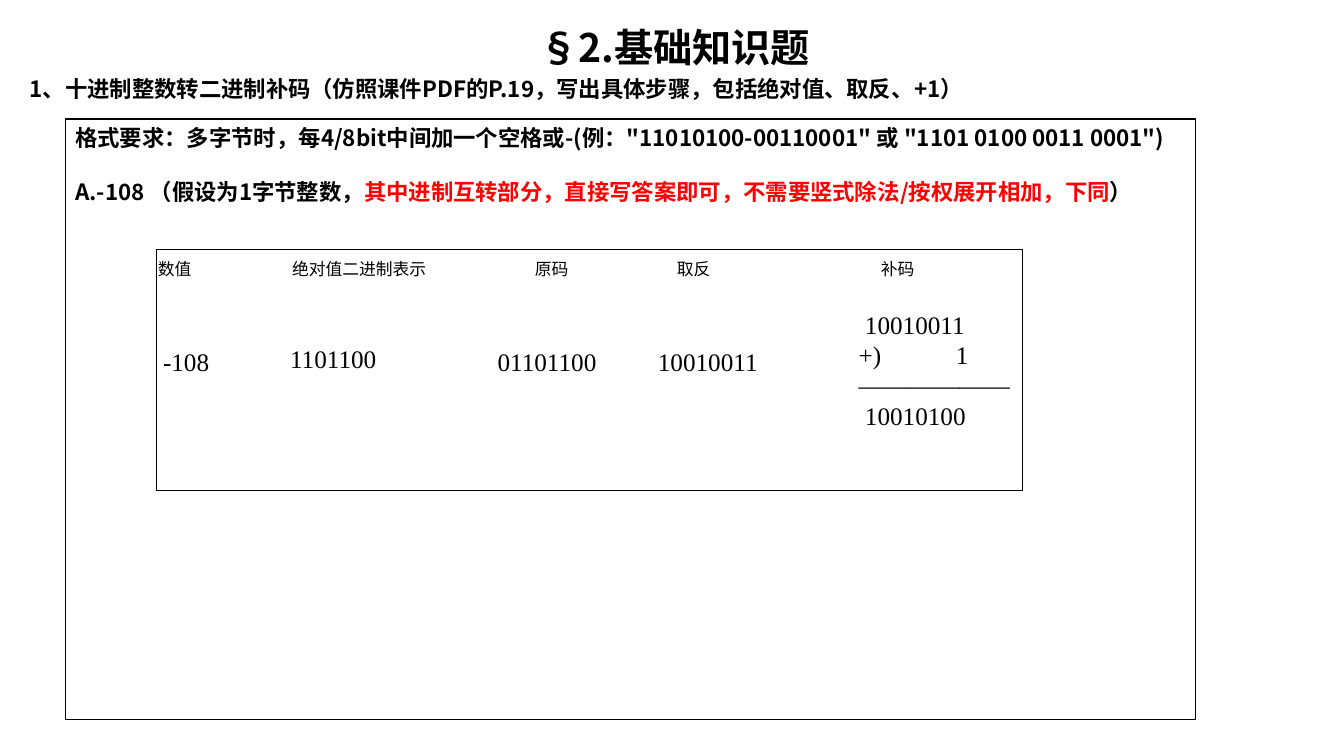
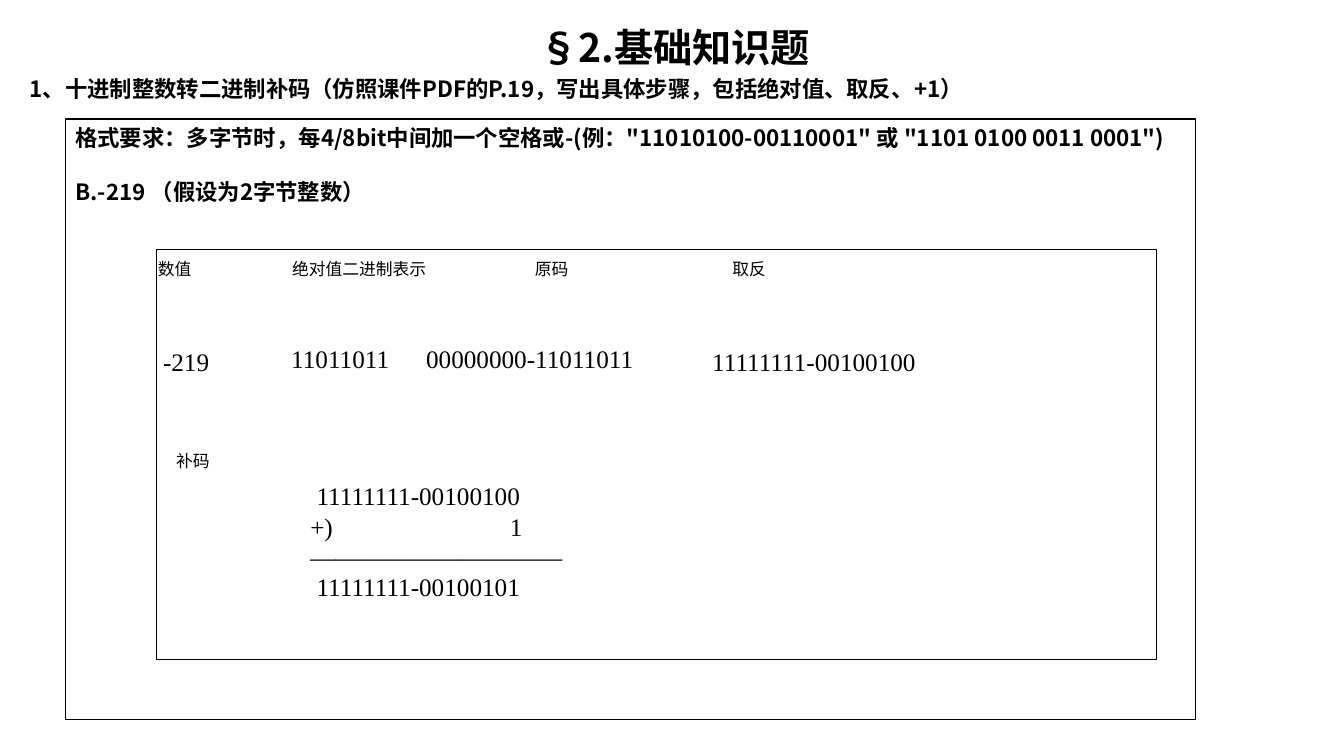
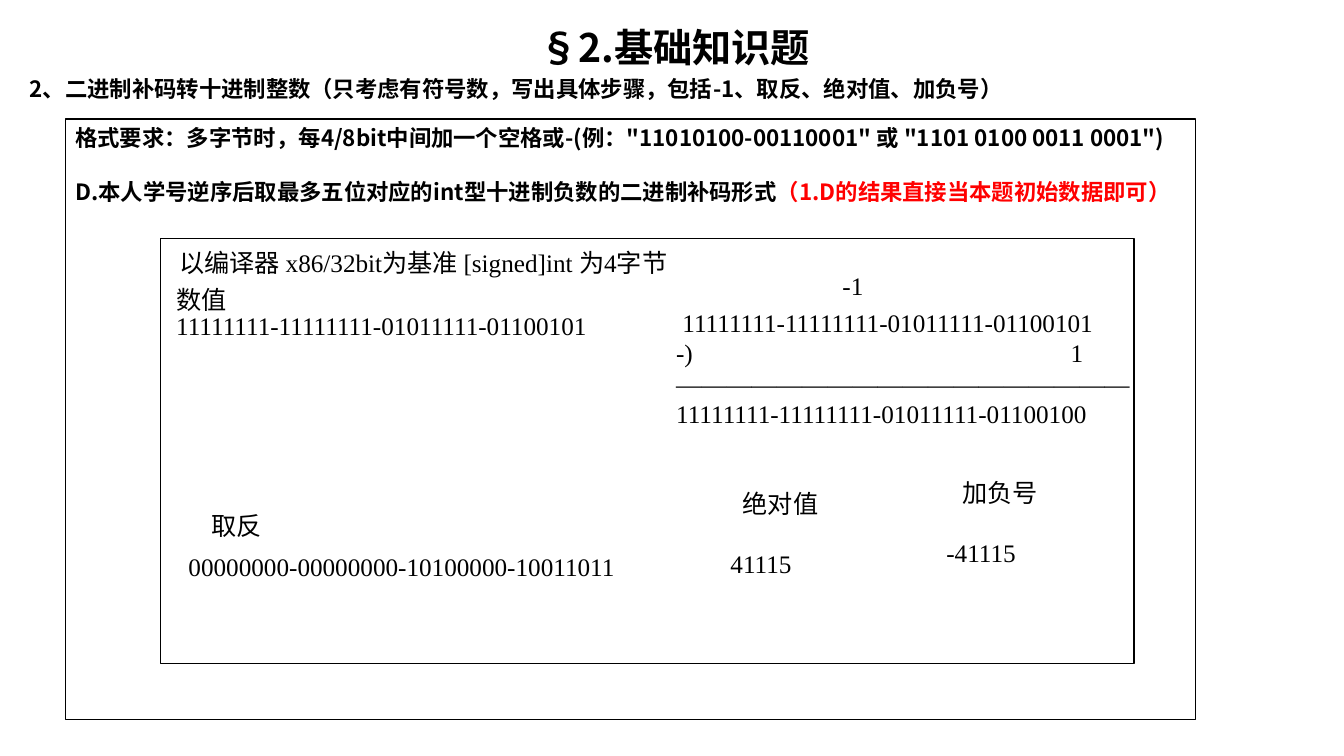
from lxml import etree
from pptx import Presentation
from pptx.dml.color import RGBColor
from pptx.enum import shapes, text
from pptx.oxml import ns
from pptx.util import Cm, Pt

BLACK = RGBColor(0x00, 0x00, 0x00)
RED = RGBColor(0xFF, 0x00, 0x00)
WHITE = RGBColor(0xFF, 0xFF, 0xFF)
HEADING_FONT = "Noto Sans CJK SC"
WORKING_FONT = "Times New Roman"

# Wording shared by the slides
CHAPTER = "§2.基础知识题"
TO_BINARY = "1、十进制整数转二进制补码（仿照课件PDF的P.19，写出具体步骤，包括绝对值、取反、+1）"
TO_DECIMAL = "2、二进制补码转十进制整数（只考虑有符号数，写出具体步骤，包括-1、取反、绝对值、加负号）"
FORMAT_RULE = ('格式要求：多字节时，每4/8bit中间加一个空格或-(例：'
               '"11010100-00110001" 或 "1101 0100 0011 0001")')
STEP_CAPTIONS = [
    ("数值", 12, 3.73, 6.4, 2.41),
    ("绝对值二进制表示", 12, 7.11, 6.4, 4.62),
    ("原码", 12, 13.23, 6.4, 5.59),
]

# Working: text, size, left, top, width
# Sum: lines, left, top, width, right edge of the lower operand
EXERCISES = [
    {
        "task": TO_BINARY,
        "question": [
            ("A.-108 （假设为1字节整数，", BLACK),
            ("其中进制互转部分，直接写答案即可，不需要竖式除法/按权展开相加，下同", RED),
            ("）", BLACK),
        ],
        "panel": (3.94, 6.3, 21.84, 6.07),
        "working": STEP_CAPTIONS + [
            ("取反", 12, 16.81, 6.4, 5.59),
            ("补码", 12, 21.95, 6.4, 6.02),
            ("-108", 18, 3.86, 8.61, 1.98),
            ("1101100", 18, 7.06, 8.53, 3.94),
            ("01101100", 18, 12.29, 8.61, 3.89),
            ("10010011", 18, 16.33, 8.61, 3.89),
        ],
        "sum": ([" 10010011", "+)\t1", "—" * 6, " 10010100"],
                21.39, 7.67, 5.03, 2.77),
    },
    {
        "task": TO_BINARY,
        "question": [("B.-219 （假设为2字节整数）", BLACK)],
        "panel": (3.94, 6.3, 25.2, 10.31),
        "working": STEP_CAPTIONS + [
            ("取反", 12, 18.21, 6.4, 5.59),
            ("补码", 12, 4.19, 11.23, 6.02),
            ("-219", 18, 3.86, 8.61, 1.98),
            ("11011011", 18, 7.09, 8.53, 3.94),
            ("00000000-11011011", 18, 10.49, 8.53, 6.96),
            ("11111111-00100100", 18, 17.7, 8.61, 10.87),
        ],
        "sum": ([" 11111111-00100100", "+)\t1", "—" * 10, " 11111111-00100101"],
                7.57, 11.99, 14.07, 5.35),
    },
    {
        "task": TO_DECIMAL,
        "question": [
            ("D.本人学号逆序后取最多五位对应的int型十进制负数的二进制补码形式", BLACK),
            ("（1.D的结果直接当本题初始数据即可）", RED),
        ],
        "panel": (4.04, 6.02, 24.54, 10.69),
        "working": [
            ("以编译器 x86/32bit为基准 [signed]int 为4字节", 18, 4.27, 6.1, 16.94),
            ("数值", 18, 4.19, 7.04, 3.76),
            ("-1", 18, 20.98, 6.68, 3.76),
            ("取反", 18, 5.08, 12.73, 3.76),
            ("绝对值", 18, 18.47, 12.19, 3.76),
            ("加负号", 18, 24, 11.91, 3.76),
            ("11111111-11111111-01011111-01100101", 18, 4.19, 7.7, 14.25),
            ("41115", 18, 18.16, 13.69, 6.35),
            ("00000000-00000000-10100000-10011011", 18, 4.5, 13.77, 15.77),
            ("-41115", 18, 23.6, 13.41, 6.35),
        ],
        "sum": ([" 11111111-11111111-01011111-01100101", "-)\t1", "—" * 18,
                 "11111111-11111111-01011111-01100100"],
                16.79, 7.62, 14.07, 10.26),
    },
]


def style_run(run, size, font=WORKING_FONT, color=BLACK, bold=False):
    run.font.size = Pt(size)
    run.font.name = font
    run.font.bold = bold
    run.font.color.rgb = color
    east_asian = etree.SubElement(run._r.get_or_add_rPr(), ns.qn("a:ea"))
    east_asian.set("typeface", HEADING_FONT)


def add_working(slide, lines, size, left, top, width, rows=1):
    box = slide.shapes.add_textbox(
        Cm(left), Cm(top), Cm(width), Cm(round(0.25 + 0.0423 * size * rows, 2)))
    box.text_frame.word_wrap = True
    box.text_frame.text = "\n".join(lines)
    for paragraph in box.text_frame.paragraphs:
        for run in paragraph.runs:
            style_run(run, size)
    return box.text_frame


prs = Presentation()
prs.slide_width = Cm(33.87)
prs.slide_height = Cm(19.05)

for exercise in EXERCISES:
    slide = prs.slides.add_slide(prs.slide_layouts[6])

    # Chapter title and task
    heading = slide.shapes.add_textbox(Cm(0.5), Cm(0.46), Cm(33), Cm(2.2)).text_frame
    heading.word_wrap = True
    heading.text = CHAPTER + "\n" + exercise["task"]
    for paragraph, size in zip(heading.paragraphs, (28, 16)):
        style_run(paragraph.runs[0], size, HEADING_FONT, bold=True)
    heading.paragraphs[0].alignment = text.PP_ALIGN.CENTER
    heading.paragraphs[1].space_before = Pt(3.2)

    # Outer frame with the question, then the answer panel
    frame, panel = [
        slide.shapes.add_shape(shapes.MSO_SHAPE.RECTANGLE, *map(Cm, place))
        for place in ((1.65, 3, 28.47, 15.14), exercise["panel"])]
    for rectangle in (frame, panel):
        rectangle.shadow.inherit = False
        rectangle.line.color.rgb = BLACK
        rectangle.line.width = Pt(0.75)
    frame.fill.background()
    panel.fill.solid()
    panel.fill.fore_color.rgb = WHITE

    question = frame.text_frame
    question.word_wrap = True
    question.vertical_anchor = text.MSO_ANCHOR.TOP
    question.text = FORMAT_RULE
    style_run(question.paragraphs[0].runs[0], 16, HEADING_FONT, bold=True)
    prompt = question.add_paragraph()
    prompt.space_before = Pt(19.3)
    for part, color in exercise["question"]:
        run = prompt.add_run()
        run.text = part
        style_run(run, 16, HEADING_FONT, color, bold=True)
    for paragraph in question.paragraphs:
        paragraph.alignment = text.PP_ALIGN.LEFT

    # Captions and values
    for wording, size, left, top, width in exercise["working"]:
        add_working(slide, [wording], size, left, top, width)

    # Written sum, lower operand set against a right tab
    lines, left, top, width, operand_edge = exercise["sum"]
    written_sum = add_working(slide, lines, 18, left, top, width, rows=5)
    tabs = etree.SubElement(
        written_sum.paragraphs[1]._p.get_or_add_pPr(), ns.qn("a:tabLst"))
    etree.SubElement(tabs, ns.qn("a:tab"), pos=str(Cm(operand_edge)), algn="r")

prs.save("out.pptx")
